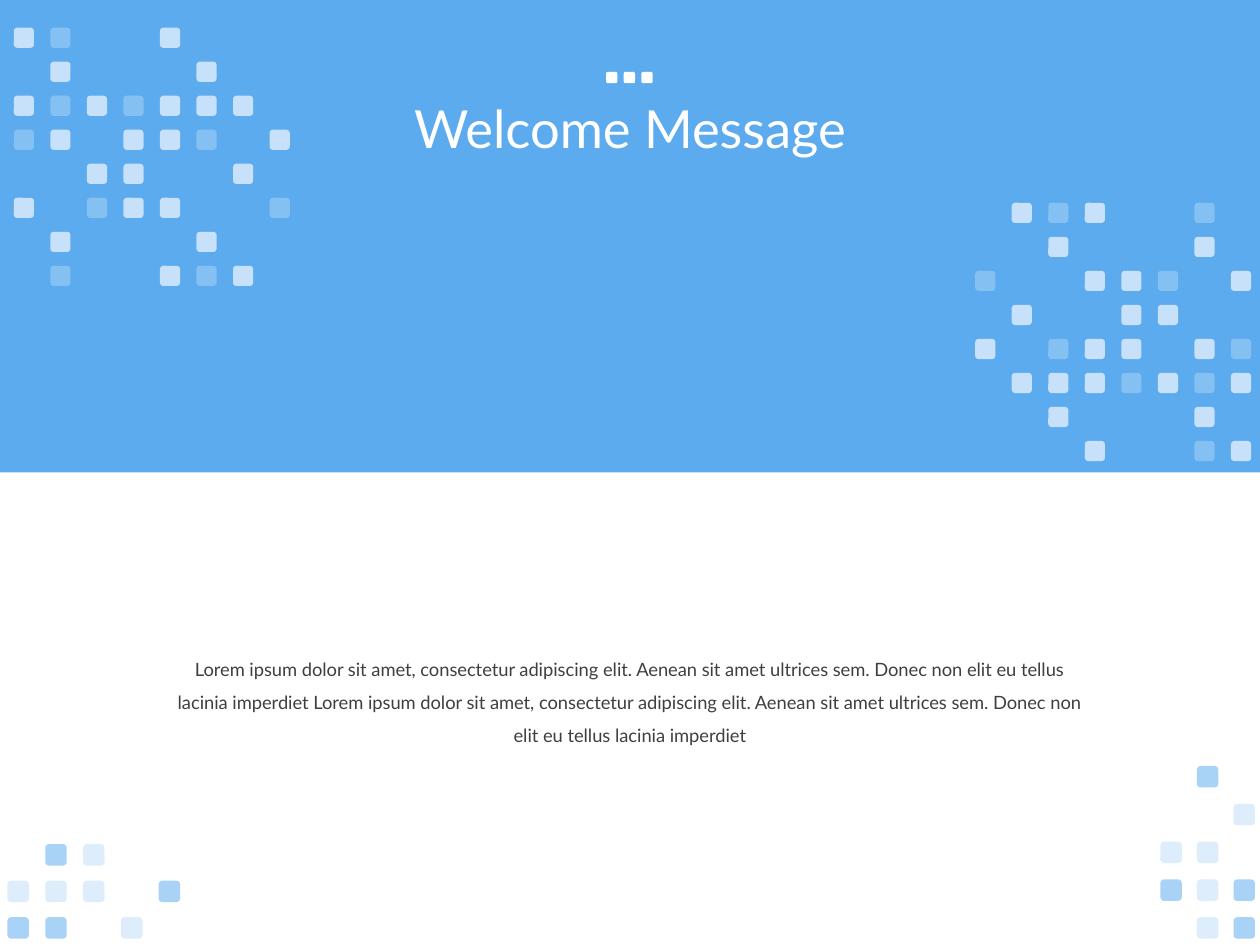
"""Build a welcome slide with a blue header band and scattered tile patterns."""
from lxml import etree
from pptx import Presentation
from pptx.dml.color import RGBColor
from pptx.enum.shapes import MSO_SHAPE
from pptx.enum.text import MSO_ANCHOR, MSO_AUTO_SIZE, PP_ALIGN
from pptx.oxml.ns import qn
from pptx.util import Inches, Pt

RECTANGLE = MSO_SHAPE.RECTANGLE
ROUNDED = MSO_SHAPE.ROUNDED_RECTANGLE
CENTER = PP_ALIGN.CENTER
MIDDLE = MSO_ANCHOR.MIDDLE
GROW = MSO_AUTO_SIZE.SHAPE_TO_FIT_TEXT

FONT = "Lato"
TITLE_ONLY = 5
COLORS = {
    "band": "278FEA",
    "white": "FFFFFF",
    "tile": "7ABAF2",
    "text": "3F3F3F",
}
OPACITY = {"#": 65, "+": 25, "o": 100}

DOTS = ["ooo"]
HEADER_LEFT = [
    "#+..#...",
    ".#...#..",
    "#+#+###.",
    "+#.##+.#",
    "..##..#.",
    "#.+##..+",
    ".#...#..",
    ".+..#+#.",
]
HEADER_RIGHT = [
    ".#+#..+.",
    "..#...#.",
    "+..##+.#",
    ".#..##..",
    "#.+##.#+",
    ".###+#+#",
    "..#...#.",
    "...#..+#",
]
FOOTER_LEFT = [
    ".#+..",
    "+++.#",
    "##.+.",
]
FOOTER_RIGHT = [
    ".#.",
    "..+",
    "++.",
    "#+#",
    ".+#",
]
MESSAGE = (
    "Lorem ipsum dolor sit amet, consectetur adipiscing elit. "
    "Aenean sit amet ultrices sem. Donec non elit eu tellus lacinia imperdiet "
    "Lorem ipsum dolor sit amet, consectetur adipiscing elit. "
    "Aenean sit amet ultrices sem. Donec non elit eu tellus lacinia imperdiet"
)


def add_block(shapes, kind, left, top, width, height, color, opacity):
    block = shapes.add_shape(
        kind, Inches(left), Inches(top), Inches(width), Inches(height)
    )
    block.shadow.inherit = False
    block.line.fill.background()
    block.fill.solid()
    block.fill.fore_color.rgb = RGBColor.from_string(COLORS[color])
    if opacity < 100:
        rgb = block.element.spPr.find(qn("a:solidFill")).find(qn("a:srgbClr"))
        etree.SubElement(rgb, qn("a:alpha")).set("val", str(opacity * 1000))
    return block


def add_pattern(slide, pattern, left, top, step_x, step_y, size, color):
    tiles = slide.shapes.add_group_shape().shapes
    for row, marks in enumerate(pattern):
        for column, mark in enumerate(marks):
            if mark in OPACITY:
                add_block(tiles, ROUNDED, left + column * step_x,
                          top + row * step_y, size, size, color, OPACITY[mark])


def write_text(frame, text, size, color, spacing):
    frame.word_wrap = True
    frame.text = text
    paragraph = frame.paragraphs[0]
    paragraph.alignment = CENTER
    paragraph.line_spacing = spacing
    font = paragraph.runs[0].font
    font.name = FONT
    font.size = Pt(size)
    font.color.rgb = RGBColor.from_string(COLORS[color])


def add_title(slide, text):
    title = slide.shapes.title
    title.left, title.top = Inches(0.69), Inches(0.32)
    title.width, title.height = Inches(8.62), Inches(1.45)
    write_text(title.text_frame, text, 30, "white", 0.9)
    title.text_frame.vertical_anchor = MIDDLE
    return title


def add_message(slide, text):
    message = slide.shapes.add_textbox(
        Inches(1.3), Inches(5.09), Inches(7.4), Inches(0.86)
    )
    write_text(message.text_frame, text, 10.5, "text", 1.5)
    message.text_frame.auto_size = GROW


def main():
    deck = Presentation()
    deck.slide_width, deck.slide_height = Inches(10), Inches(7.5)
    slide = deck.slides.add_slide(deck.slide_layouts[TITLE_ONLY])

    title = add_title(slide, "Welcome Message")
    band = add_block(slide.shapes, RECTANGLE, 0, 0, 10, 3.75, "band", 75)
    title.element.addprevious(band.element)
    add_message(slide, MESSAGE)

    add_pattern(slide, DOTS, 4.81, 0.57, 0.14, 0.14, 0.09, "white")
    add_pattern(slide, HEADER_LEFT, 0.11, 0.22, 0.29, 0.27, 0.16, "white")
    add_pattern(slide, HEADER_RIGHT, 7.74, 1.61, 0.29, 0.27, 0.16, "white")
    add_pattern(slide, FOOTER_LEFT, 0.06, 6.7, 0.3, 0.29, 0.17, "tile")
    add_pattern(slide, FOOTER_RIGHT, 9.21, 6.08, 0.29, 0.3, 0.17, "tile")

    deck.save("out.pptx")


if __name__ == "__main__":
    main()
